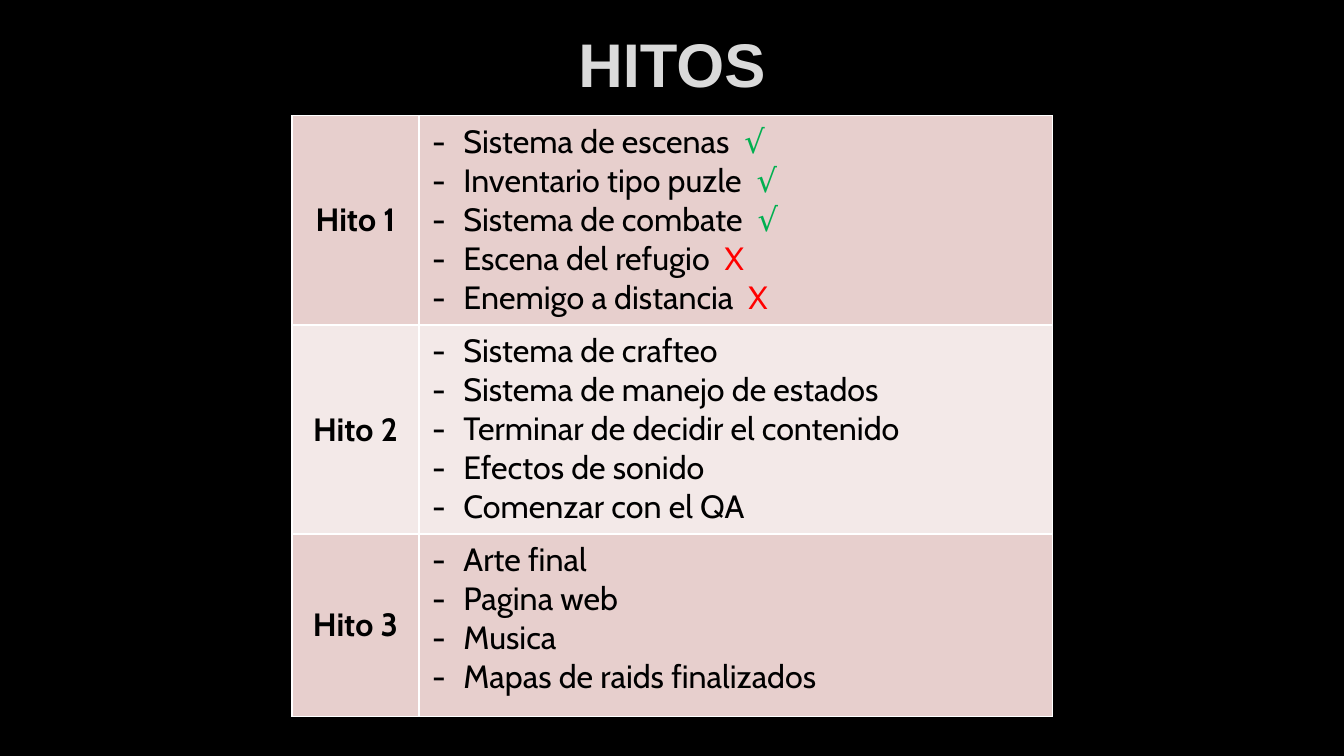
from dataclasses import dataclass

from lxml.etree import SubElement
from pptx import Presentation
from pptx.dml.color import RGBColor
from pptx.enum.text import MSO_ANCHOR as Anchor, MSO_AUTO_SIZE as AutoSize, PP_ALIGN as Align
from pptx.oxml.ns import qn
from pptx.util import Cm, Pt

BLACK = RGBColor(0x00, 0x00, 0x00)
WHITE = RGBColor(0xFF, 0xFF, 0xFF)
TITLE_GREY = RGBColor(0xDA, 0xDA, 0xDA)
OUTLINE_GREY = RGBColor(0x40, 0x40, 0x40)
ROSE = RGBColor(0xE7, 0xCF, 0xCD)
PALE_ROSE = RGBColor(0xF3, 0xE9, 0xE8)
GREEN = RGBColor(0x00, 0xB0, 0x50)
RED = RGBColor(0xFF, 0x00, 0x00)

MARK_COLORS = {"√": GREEN, "X": RED}
COLUMN_WIDTHS = Cm(3.2), Cm(15.96)
BULLET_INDENT = Cm(0.79)


@dataclass
class Task:
    label: str
    mark: str = ""


@dataclass
class Milestone:
    name: str
    height: Cm
    fill: RGBColor
    tasks: list[Task]


MILESTONES = [
    Milestone("Hito 1", Cm(5.27), ROSE, [
        Task("Sistema de escenas", "√"),
        Task("Inventario tipo puzle", "√"),
        Task("Sistema de combate", "√"),
        Task("Escena del refugio", "X"),
        Task("Enemigo a distancia", "X"),
    ]),
    Milestone("Hito 2", Cm(5.27), PALE_ROSE, [
        Task("Sistema de crafteo"),
        Task("Sistema de manejo de estados"),
        Task("Terminar de decidir el contenido"),
        Task("Efectos de sonido"),
        Task("Comenzar con el QA"),
    ]),
    Milestone("Hito 3", Cm(4.6), ROSE, [
        Task("Arte final"),
        Task("Pagina web"),
        Task("Musica"),
        Task("Mapas de raids finalizados"),
    ]),
]


def set_font(font, name: str, size: float, color: RGBColor, bold: bool) -> None:
    font.name = name
    font.size = Pt(size)
    font.bold = bold
    font.color.rgb = color


def add_line(parent, tag: str, width: int, color: RGBColor):
    """Append a solid line element and return its colour element."""
    line = SubElement(parent, qn(tag), w=str(width))
    solid = SubElement(line, qn("a:solidFill"))
    return SubElement(solid, qn("a:srgbClr"), val=str(color))


def format_cell(cell, fill: RGBColor) -> None:
    cell.margin_left = cell.margin_right = Cm(0.33)
    cell.margin_top = cell.margin_bottom = Cm(0.16)
    for side in "LRTB":
        add_line(cell._tc.get_or_add_tcPr(), f"a:ln{side}", Pt(1), WHITE)
    cell.fill.solid()
    cell.fill.fore_color.rgb = fill


def write_task(paragraph, task: Task) -> None:
    properties = paragraph._p.get_or_add_pPr()
    properties.set("marL", str(BULLET_INDENT))
    properties.set("indent", str(-BULLET_INDENT))
    SubElement(properties, qn("a:buFont"), typeface="Cabin")
    SubElement(properties, qn("a:buChar"), char="-")
    set_font(paragraph.font, "Cabin", 23, BLACK, False)
    if task.mark:
        paragraph.add_run().text = f"{task.label}  "
        mark = paragraph.add_run()
        mark.text = task.mark
        mark.font.color.rgb = MARK_COLORS[task.mark]
    else:
        paragraph.add_run().text = task.label


def write_title(title, text: str) -> None:
    title.left, title.top, title.width, title.height = Cm(2.56), Cm(0.23), Cm(28.75), Cm(2.69)
    frame = title.text_frame
    frame.auto_size = AutoSize.NONE
    frame.vertical_anchor = Anchor.MIDDLE
    paragraph = frame.paragraphs[0]
    paragraph.alignment = Align.CENTER
    run = paragraph.add_run()
    run.text = text
    # Faint outline around the letters
    outline = add_line(run._r.get_or_add_rPr(), "a:ln", Pt(0.75), OUTLINE_GREY)
    SubElement(outline, qn("a:alpha"), val="10000")
    set_font(run.font, "Arial", 44, TITLE_GREY, True)


def add_milestone_table(slide, milestones: list[Milestone]) -> None:
    table = slide.shapes.add_table(
        len(milestones), len(COLUMN_WIDTHS), Cm(7.36), Cm(2.92),
        sum(COLUMN_WIDTHS), sum(milestone.height for milestone in milestones),
    ).table
    table.first_row = table.horz_banding = False
    for column, width in zip(table.columns, COLUMN_WIDTHS):
        column.width = width

    for row, milestone in zip(table.rows, milestones):
        row.height = milestone.height
        name_cell, tasks_cell = row.cells
        for cell in row.cells:
            format_cell(cell, milestone.fill)

        # Milestone name
        name_cell.vertical_anchor = Anchor.MIDDLE
        name = name_cell.text_frame.paragraphs[0]
        name.alignment = Align.CENTER
        set_font(name.font, "Cabin", 23, BLACK, True)
        name.add_run().text = milestone.name

        # Task list
        frame = tasks_cell.text_frame
        for index, task in enumerate(milestone.tasks):
            write_task(frame.add_paragraph() if index else frame.paragraphs[0], task)


def main() -> None:
    presentation = Presentation()
    presentation.slide_width, presentation.slide_height = Cm(33.87), Cm(19.05)
    slide = presentation.slides.add_slide(presentation.slide_layouts.get_by_name("Title Only"))
    slide.background.fill.solid()
    slide.background.fill.fore_color.rgb = BLACK
    write_title(slide.shapes.title, "HITOS")
    add_milestone_table(slide, MILESTONES)
    presentation.save("out.pptx")


if __name__ == "__main__":
    main()
